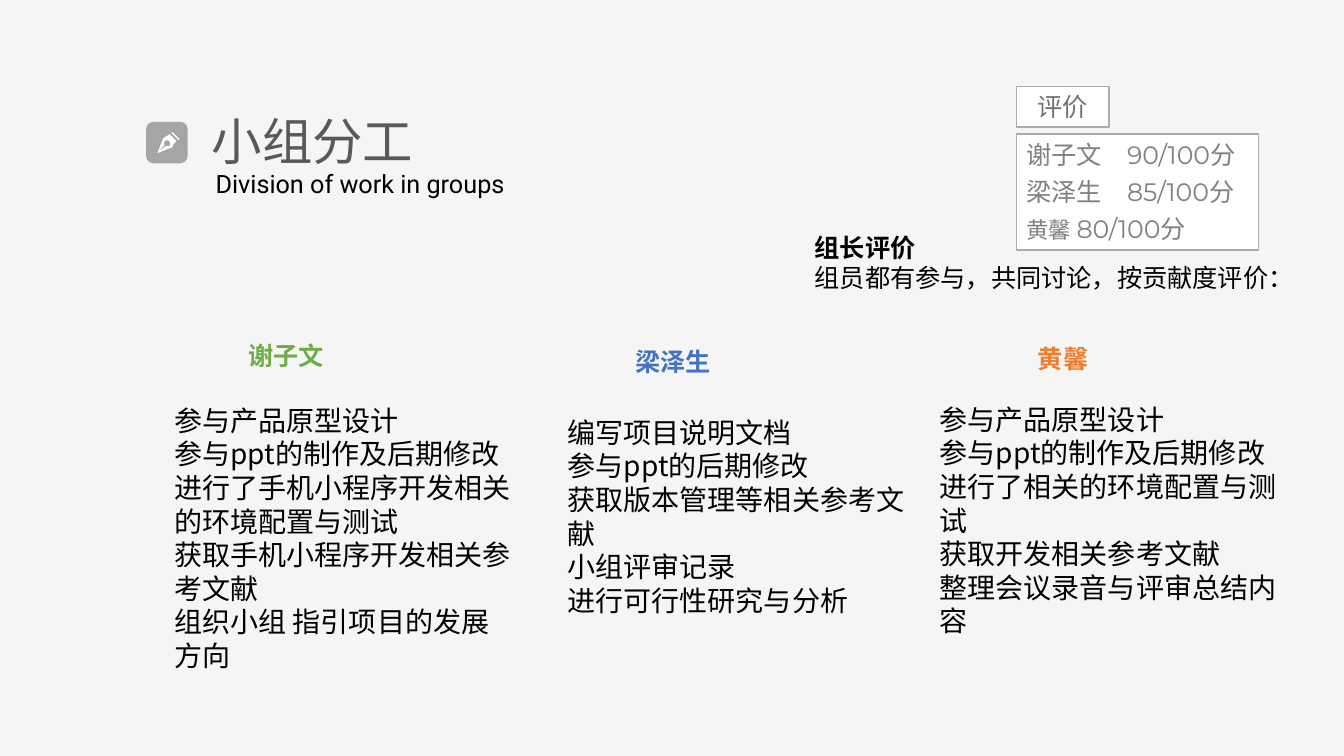
from dataclasses import dataclass

import pptx
import pptx.dml.color
import pptx.enum.shapes
import pptx.enum.text
import pptx.oxml.ns
import pptx.shapes.base
import pptx.slide
import pptx.util
from lxml import etree

PX = 9144  # EMU per px, 100 px to the inch
CJK = "Noto Sans CJK SC"
KIND = pptx.enum.shapes.MSO_SHAPE
ALIGN = pptx.enum.text.PP_ALIGN
ANCHOR = pptx.enum.text.MSO_ANCHOR
Shape = pptx.shapes.base.BaseShape
Slide = pptx.slide.Slide


@dataclass
class Box:
    left: int
    top: int
    width: int
    height: int


@dataclass
class Run:
    text: str
    size: int = 18
    color: str = "000000"
    bold: bool = False
    font: str = CJK


@dataclass
class Member:
    name: str
    color: str
    align: ALIGN
    head: Box
    body: Box
    slot: int
    tasks: list[str]


MEMBERS = [
    Member("谢子文", "70AD47", ALIGN.CENTER, Box(156, 333, 255, 40),
           Box(163, 395, 360, 279), 1,
           ["参与产品原型设计", "参与ppt的制作及后期修改",
            "进行了手机小程序开发相关的环境配置与测试",
            "获取手机小程序开发相关参考文献", "组织小组 指引项目的发展方向"]),
    Member("梁泽生", "4472C4", ALIGN.LEFT, Box(620, 339, 112, 40),
           Box(553, 407, 360, 212), 2,
           ["编写项目说明文档", "参与ppt的后期修改", "获取版本管理等相关参考文献",
            "小组评审记录", "进行可行性研究与分析"]),
    Member("黄馨", "ED7D31", ALIGN.CENTER, Box(968, 336, 173, 40),
           Box(922, 394, 360, 246), 3,
           ["参与产品原型设计", "参与ppt的制作及后期修改", "进行了相关的环境配置与测试",
            "获取开发相关参考文献", "整理会议录音与评审总结内容"]),
]
NOTE_SLOT = 4
SCORES = [("谢子文", 18, "90/100分"), ("梁泽生", 18, "85/100分"), ("黄馨", 16, "80/100分")]
NIB = [(172, 137), (171, 136), (168, 133), (167, 134), (162, 137), (156, 152),
       (163, 144), (163, 140), (166, 139), (168, 140), (169, 142), (168, 145),
       (164, 145), (156, 152), (171, 146), (172, 143), (174, 141), (175, 140)]
CAP = [(171, 131), (178, 138), (177, 139), (170, 132)]


def rgb(color: str) -> pptx.dml.color.RGBColor:
    return pptx.dml.color.RGBColor.from_string(color)


def place(shape: Shape, box: Box) -> Shape:
    shape.left, shape.top = box.left * PX, box.top * PX
    shape.width, shape.height = box.width * PX, box.height * PX
    return shape


def write(shape: Shape, rows: list[list[Run]], align: ALIGN = ALIGN.LEFT,
          anchor: ANCHOR = ANCHOR.TOP, gap: int = 0, pitch: float = 1.0,
          tab: int = 0) -> None:
    frame = shape.text_frame
    frame.word_wrap = True
    frame.auto_size = pptx.enum.text.MSO_AUTO_SIZE.NONE
    frame.vertical_anchor = anchor
    for i, row in enumerate(rows):
        para = frame.add_paragraph() if i else frame.paragraphs[0]
        props = para._p.get_or_add_pPr()
        props.set("marL", "0")
        props.set("indent", "0")
        etree.SubElement(props, pptx.oxml.ns.qn("a:buNone"))
        if tab:
            stops = etree.SubElement(props, pptx.oxml.ns.qn("a:tabLst"))
            etree.SubElement(stops, pptx.oxml.ns.qn("a:tab"), pos=str(tab * PX), algn="l")
        para.alignment = align
        para.line_spacing = pitch
        para.space_before = pptx.util.Pt(gap if i else 0)
        for item in row:
            run = para.add_run()
            run.text = item.text
            run.font.size = pptx.util.Pt(item.size)
            run.font.bold = item.bold
            run.font.color.rgb = rgb(item.color)
            run.font.name = item.font
            east = etree.SubElement(run.font._element, pptx.oxml.ns.qn("a:ea"))
            east.set("typeface", CJK)


def label(slide: Slide, box: Box, run: Run, align: ALIGN = ALIGN.LEFT) -> None:
    shape = place(slide.shapes.add_textbox(0, 0, 0, 0), box)
    write(shape, [[run]], align)


def paint(shape: Shape, fill: str, line: str = "") -> Shape:
    shape.shadow.inherit = False
    shape.fill.solid()
    shape.fill.fore_color.rgb = rgb(fill)
    if line:
        shape.line.color.rgb = rgb(line)
        shape.line.width = pptx.util.Pt(1)
    else:
        shape.line.fill.background()
    return shape


def block(slide: Slide, kind: KIND, box: Box, fill: str, line: str = "") -> Shape:
    return paint(place(slide.shapes.add_shape(kind, 0, 0, 0, 0), box), fill, line)


def outline(slide: Slide, points: list[tuple[int, int]], fill: str) -> None:
    pen = slide.shapes.build_freeform(*points[0], scale=PX)
    pen.add_line_segments(points[1:], close=True)
    paint(pen.convert_to_shape(), fill)


def main() -> None:
    deck = pptx.Presentation()
    deck.slide_width, deck.slide_height = 1333 * PX, 750 * PX
    slide = deck.slides.add_slide(deck.slide_layouts.get_by_name("Comparison"))
    slide.background.fill.solid()
    slide.background.fill.fore_color.rgb = rgb("F5F5F5")
    slots = {s.placeholder_format.idx: s for s in slide.placeholders}

    # Title with its pen icon
    title = place(slide.shapes.title, Box(200, 113, 282, 61))
    write(title, [[Run("小组分工", 36, "595959")]], anchor=ANCHOR.MIDDLE, pitch=0.9)
    label(slide, Box(204, 162, 327, 40), Run("Division of work in groups", font="Roboto"))
    block(slide, KIND.ROUNDED_RECTANGLE, Box(145, 121, 41, 41), "A5A5A5")
    for points in (NIB, CAP):
        outline(slide, points, "FFFFFF")

    # Scores
    tag = block(slide, KIND.RECTANGLE, Box(1008, 86, 92, 40), "FFFFFF", "AFABAB")
    write(tag, [[Run("评价", color="767171", font="Lato")]], ALIGN.CENTER, ANCHOR.MIDDLE)
    card = block(slide, KIND.RECTANGLE, Box(1008, 133, 240, 115), "FFFFFF", "AFABAB")
    write(card, [[Run(name, size, "808080"), Run("\t", color="808080"),
                  Run(score, color="808080", font="Montserrat")]
                 for name, size, score in SCORES], gap=5, tab=100)

    # Leader's note
    note = place(slots[NOTE_SLOT], Box(798, 225, 490, 71))
    write(note, [[Run("组长评价", bold=True)],
                 [Run("组员都有参与，共同讨论，按贡献度评价：")]])

    # Members and their tasks
    for member in MEMBERS:
        label(slide, member.head, Run(member.name, color=member.color, bold=True),
              member.align)
        write(place(slots[member.slot], member.body),
              [[Run(task, 20)] for task in member.tasks])

    deck.save("out.pptx")


if __name__ == "__main__":
    main()
